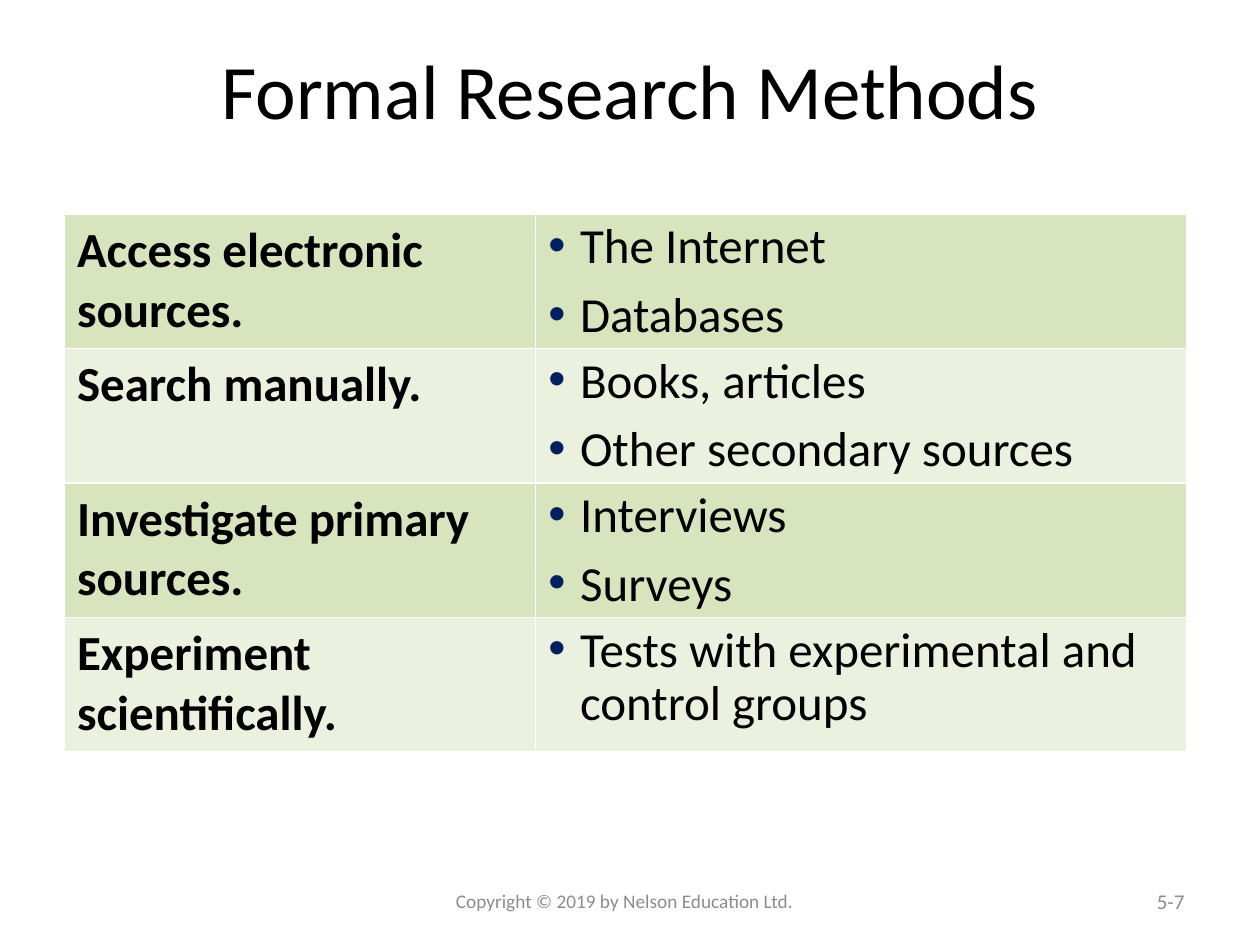
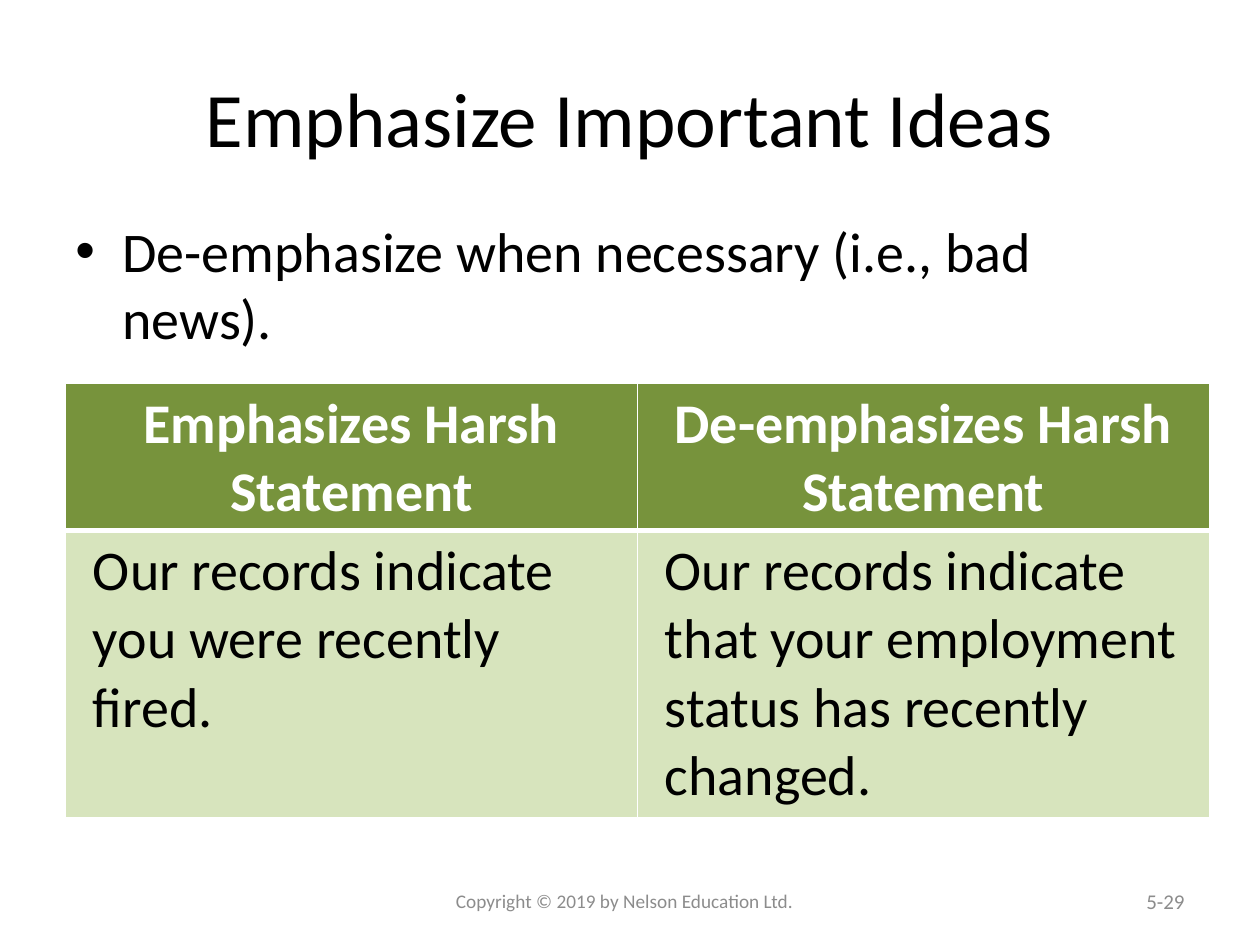
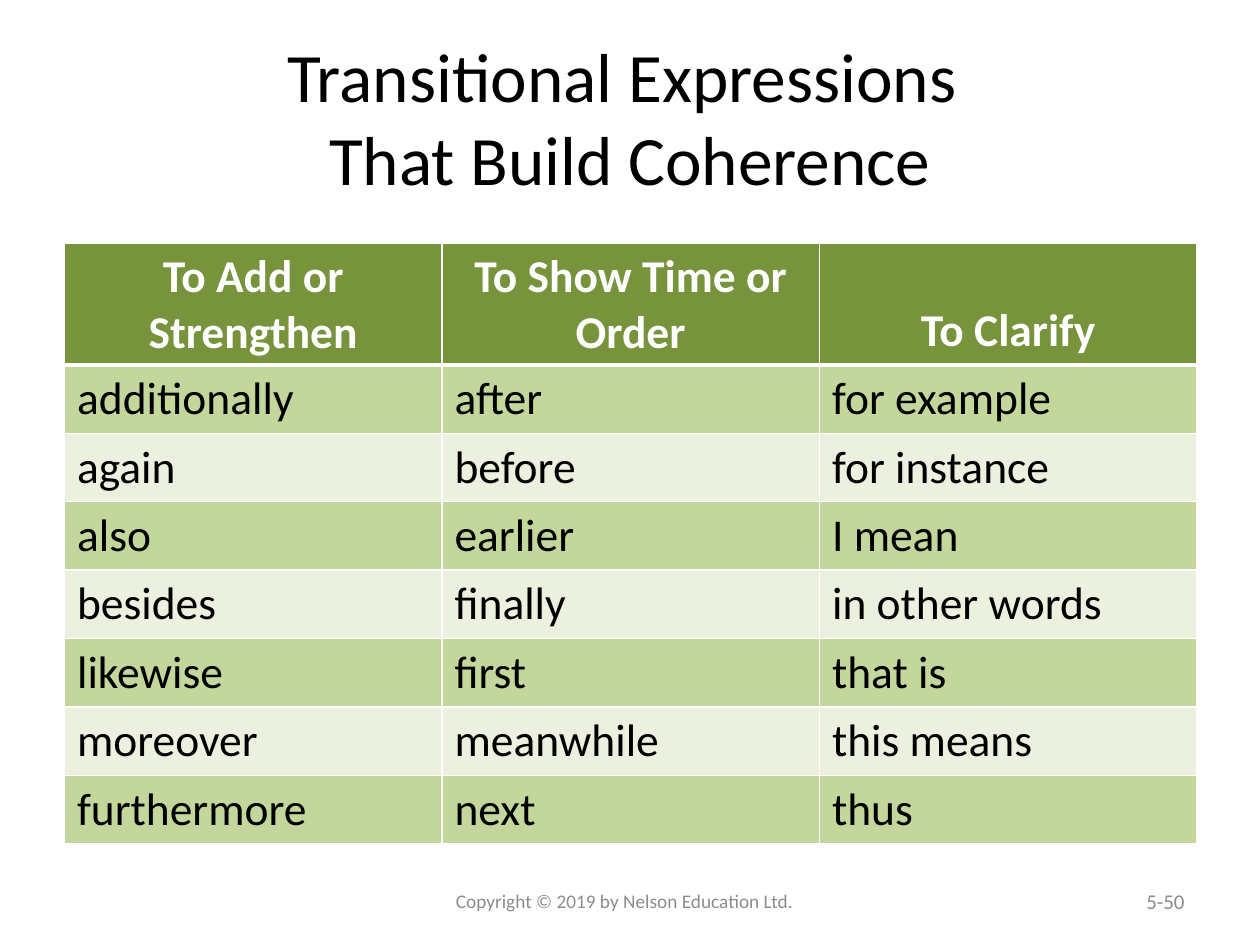
"""Build three slides on research methods, emphasis and coherence."""
from dataclasses import dataclass, replace

from lxml import etree
from pptx import Presentation
from pptx import util as u
from pptx.dml.color import RGBColor
from pptx.enum import text
from pptx.oxml.ns import qn

FONT = "Calibri"
INK = {
    "black": "000000", "white": "FFFFFF", "grey": "8C8C8C", "navy": "002060",
    "olive": "77933C", "leaf": "C3D69B", "moss": "D7E4BD", "pale": "EBF1DE",
}
LEFT, MID, RIGHT = text.PP_ALIGN.LEFT, text.PP_ALIGN.CENTER, text.PP_ALIGN.RIGHT
TOP, CORE, BASE = text.MSO_ANCHOR.TOP, text.MSO_ANCHOR.MIDDLE, text.MSO_ANCHOR.BOTTOM


@dataclass(frozen=True)
class Style:
    """Look of a paragraph; indent and hang are in centimetres."""
    size: float
    ink: str = "black"
    bold: bool = False
    align: int = LEFT
    indent: float = 0
    hang: float = 0
    bullet: str = ""
    line: float = 1
    before: float = 0
    after: float = 0


@dataclass(frozen=True)
class Box:
    """Place of an element in centimetres."""
    left: float
    top: float
    width: float
    height: float

    def cm(self) -> list:
        """Give the four lengths."""
        return [u.Cm(n) for n in (self.left, self.top, self.width, self.height)]


@dataclass(frozen=True)
class Cell:
    """Lines of a table cell with their look."""
    lines: tuple
    style: Style
    fill: str
    anchor: int = TOP


@dataclass(frozen=True)
class Grid:
    """Table: corner, column widths, row heights and rows of cells."""
    left: float
    top: float
    cols: list
    rows: list
    cells: list
    head: bool = True


TITLE = Style(44, align=MID)
NOTE = Style(11, "grey", align=MID)
PAGE = Style(12, "grey", align=RIGHT)
HEAD = Style(32, "white", True, MID)
LABEL = Style(28, bold=True)
ITEM = Style(28, indent=0.64, hang=0.64, bullet="navy", line=0.9, before=5.6, after=2.8)
POINT = Style(32, indent=0.95, hang=0.95, bullet="black")
QUOTE = Style(32, indent=0.3)


def write(frame, lines: tuple, style: Style) -> None:
    """Fill a text frame with styled paragraphs."""
    frame.text = "\n".join(lines)
    for i, para in enumerate(frame.paragraphs):
        props = para._p.get_or_add_pPr()
        props.set("marL", str(u.Cm(style.indent)))
        props.set("indent", str(-u.Cm(style.hang)))
        if style.bullet:
            tint = etree.SubElement(props, qn("a:buClr"))
            etree.SubElement(tint, qn("a:srgbClr"), val=INK[style.bullet])
            etree.SubElement(props, qn("a:buFont"), typeface="Arial")
            etree.SubElement(props, qn("a:buChar"), char="•")
        para.alignment = style.align
        para.line_spacing = style.line
        para.space_before = u.Pt(style.before if i else 0)
        para.space_after = u.Pt(style.after)
        font = para.font
        font.name, font.size, font.bold = FONT, u.Pt(style.size), style.bold
        font.color.rgb = RGBColor.from_string(INK[style.ink])


def label(slide, box: Box, words: str, style: Style, anchor: int = CORE):
    """Add a wrapped text box and return its frame."""
    frame = slide.shapes.add_textbox(*box.cm()).text_frame
    frame.word_wrap = True
    frame.vertical_anchor = anchor
    write(frame, (words,), style)
    return frame


def edge(cell, top: float, base: float) -> None:
    """Give a cell white borders, with top and base widths in points."""
    props = cell._tc.get_or_add_tcPr()
    sides = (("a:lnL", 1), ("a:lnR", 1), ("a:lnT", top), ("a:lnB", base))
    for i, (tag, wide) in enumerate(sides):
        line = etree.Element(qn(tag), w=str(u.Pt(wide)))
        fill = etree.SubElement(line, qn("a:solidFill"))
        etree.SubElement(fill, qn("a:srgbClr"), val=INK["white"])
        props.insert(i, line)


def draw(slide, grid: Grid) -> None:
    """Add a table."""
    box = Box(grid.left, grid.top, sum(grid.cols), sum(grid.rows))
    table = slide.shapes.add_table(len(grid.rows), len(grid.cols), *box.cm()).table
    table.first_row = grid.head
    table.horz_banding = False
    for col, wide in zip(table.columns, grid.cols):
        col.width = u.Cm(wide)
    for r, (row, tall) in enumerate(zip(table.rows, grid.rows)):
        row.height = u.Cm(tall)
        for cell, part in zip(row.cells, grid.cells[r]):
            write(cell.text_frame, part.lines, part.style)
            cell.vertical_anchor = part.anchor
            cell.fill.solid()
            cell.fill.fore_color.rgb = RGBColor.from_string(INK[part.fill])
            edge(cell, 3 if grid.head and r == 1 else 1, 3 if grid.head and r == 0 else 1)


def start(deck, title: str, page: str, top: float = 0.76, size: float = 44):
    """Add a slide with its title and footer."""
    slide = deck.slides.add_slide(deck.slide_layouts[5])
    head = slide.shapes.title
    head.left, head.top, head.width, head.height = Box(1.27, top, 22.86, 3.18).cm()
    head.text_frame.auto_size = text.MSO_AUTO_SIZE.NONE
    head.text_frame.vertical_anchor = CORE
    write(head.text_frame, (title,), replace(TITLE, size=size))
    foot = label(slide, Box(8.68, 17.66, 8.04, 1.01),
                 "Copyright © 2019 by Nelson Education Ltd.", NOTE)
    foot.margin_right = u.Cm(0.47)
    label(slide, Box(18.2, 17.66, 5.93, 1.01), page, PAGE)
    return slide


def methods(deck) -> None:
    """Build the slide on research methods."""
    slide = start(deck, "Formal Research Methods", "5-7", top=0.2)
    pairs = [
        ("Access electronic sources.", ("The Internet", "Databases")),
        ("Search manually.", ("Books, articles", "Other secondary sources")),
        ("Investigate primary sources.", ("Interviews", "Surveys")),
        ("Experiment scientifically.", ("Tests with experimental and control groups",)),
    ]
    cells = []
    for i, (name, items) in enumerate(pairs):
        fill = ("moss", "pale")[i % 2]
        cells.append([Cell((name,), LABEL, fill), Cell(items, ITEM, fill)])
    draw(slide, Grid(1.3, 4.32, [9.5, 13.13], [2.71] * len(cells), cells, head=False))


def stress(deck) -> None:
    """Build the slide on emphasis."""
    slide = start(deck, "Emphasize Important Ideas", "5-29")
    label(slide, Box(1.27, 4.24, 22.86, 12.57),
          "De-emphasize when necessary (i.e., bad news).", POINT, TOP)
    heads = ("Emphasizes Harsh Statement", "De-emphasizes Harsh Statement")
    quotes = ("Our records indicate you were recently fired.",
              "Our records indicate that your employment status has recently changed.")
    cells = [[Cell((w,), HEAD, "olive") for w in heads],
             [Cell((w,), QUOTE, "moss") for w in quotes]]
    draw(slide, Grid(1.32, 7.73, [11.53] * 2, [2.97, 5.79], cells))


def links(deck) -> None:
    """Build the slide on transitional expressions."""
    slide = start(deck, "Transitional Expressions \vThat Build Coherence", "5-50", size=39.6)
    heads = ("To Add or Strengthen", "To Show Time or Order", "To Clarify")
    words = [
        ("additionally", "after", "for example"),
        ("again", "before", "for instance"),
        ("also", "earlier", "I mean"),
        ("besides", "finally", "in other words"),
        ("likewise", "first", "that is"),
        ("moreover", "meanwhile", "this means"),
        ("furthermore", "next", "thus"),
    ]
    cells = [[Cell((w,), replace(HEAD, size=26), "olive", BASE) for w in heads]]
    for i, row in enumerate(words):
        cells.append([Cell((w,), Style(26), ("leaf", "pale")[i % 2]) for w in row])
    draw(slide, Grid(1.3, 4.9, [7.61] * 3, [2.45] + [1.38] * len(words), cells))


def main() -> None:
    """Build and save the deck."""
    deck = Presentation()
    deck.slide_width, deck.slide_height = u.Cm(25.4), u.Cm(19.05)
    for build in (methods, stress, links):
        build(deck)
    deck.save("out.pptx")


if __name__ == "__main__":
    main()
